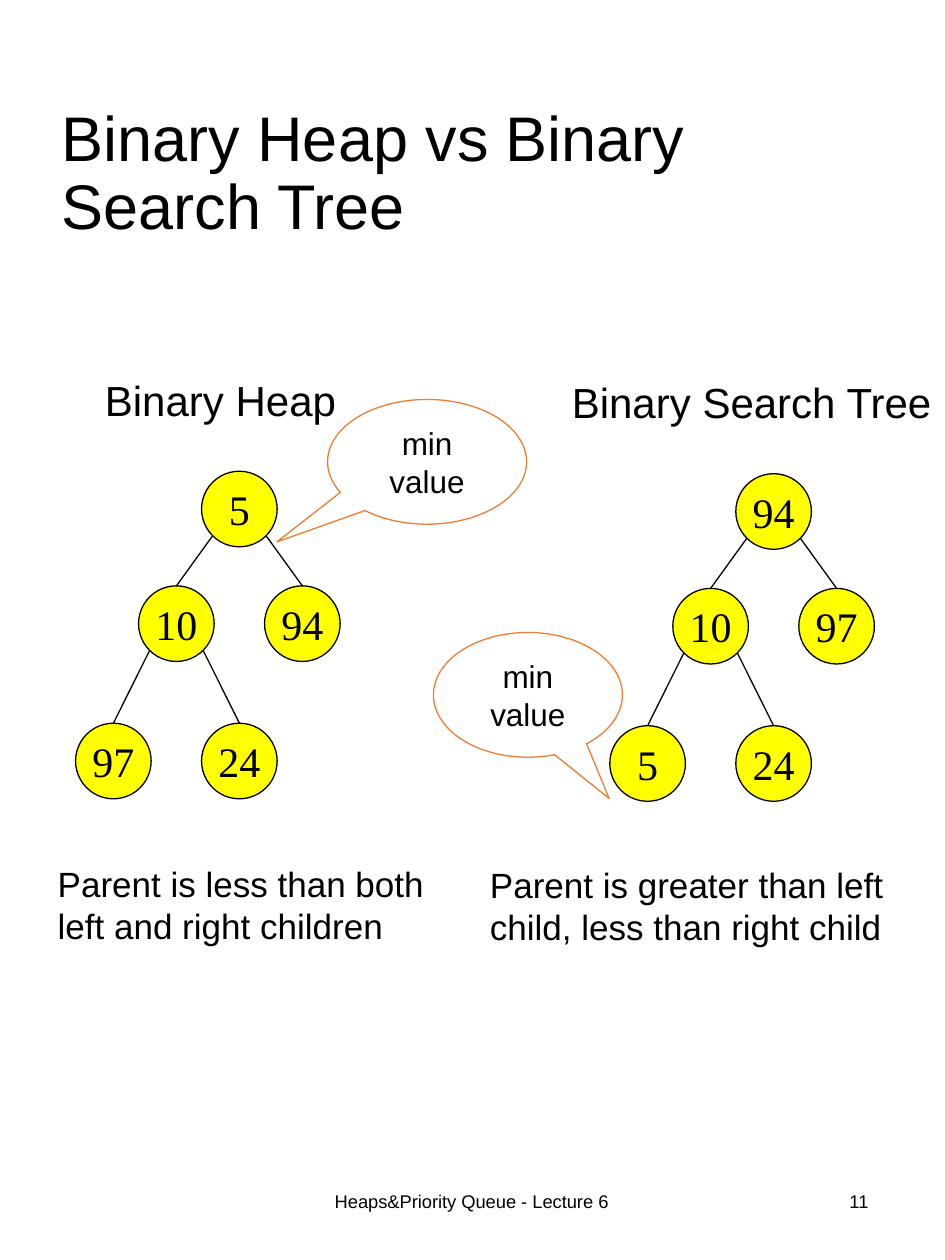
import math

import pptx
import pptx.dml.color
import pptx.enum.shapes
import pptx.enum.text
import pptx.util
from lxml import etree

Inches, Pt = pptx.util.Inches, pptx.util.Pt
RGBColor = pptx.dml.color.RGBColor
SHAPE = pptx.enum.shapes.MSO_SHAPE
ALIGN = pptx.enum.text.PP_ALIGN
LEFT, CENTER, RIGHT = ALIGN.LEFT, ALIGN.CENTER, ALIGN.RIGHT

BLACK = RGBColor(0x00, 0x00, 0x00)
WHITE = RGBColor(0xFF, 0xFF, 0xFF)
YELLOW = RGBColor(0xFF, 0xFF, 0x00)
ORANGE = RGBColor(0xED, 0x7D, 0x31)

# Content: lines, (left, top, width, height), size, alignment, wrap
TEXTS = [
    (["Heaps&Priority Queue - Lecture 6"], (2.48, 9.27, 2.53, 0.53), 10.5, CENTER, True),
    (["11"], (5.3, 9.27, 1.69, 0.53), 10.5, RIGHT, True),
    (["Binary Heap vs Binary Search Tree"], (0.39, 0.92, 6.75, 0.94), 36, LEFT, True),
    (["Binary Heap"], (0.73, 2.92, 2.04, 0.5), 24, CENTER, False),
    (["Binary Search Tree"], (4.43, 2.94, 3.07, 0.5), 24, CENTER, False),
    (["Parent is greater than left", "child, less than right child"],
     (3.79, 6.8, 3.42, 0.77), 20, LEFT, False),
    (["Parent is less than both", "left and right children"],
     (0.36, 6.79, 3.13, 0.77), 20, LEFT, False),
]

# Trees: root corner, values level by level
TREES = [
    ((5.84, 3.76), ["94", "10", "97", "5", "24"]),
    ((1.6, 3.74), ["5", "10", "94", "97", "24"]),
]
NODE = 0.6
NODE_OFFSETS = [(0, 0), (-0.5, 0.91), (0.5, 0.91), (-1, 2), (0, 2)]
EDGES = [(0, 1), (0, 2), (1, 3), (1, 4)]

# Callouts: (left, top, width, height), pointer position
CALLOUTS = [
    ((3.44, 5.02, 1.5, 0.99), (0.43, 0.83)),
    ((2.6, 3.17, 1.58, 0.99), (-0.755, 0.642)),
]

deck = pptx.Presentation()
deck.slide_width, deck.slide_height = Inches(7.5), Inches(10)
page = deck.slides.add_slide(deck.slide_layouts[6])


def write(shape, lines, size, align=CENTER, wrap=True, font="Arial"):
    frame = shape.text_frame
    frame.word_wrap = wrap
    frame.vertical_anchor = pptx.enum.text.MSO_ANCHOR.MIDDLE
    for index, line in enumerate(lines):
        para = frame.add_paragraph() if index else frame.paragraphs[0]
        para.alignment = align
        if size == 36:
            para.line_spacing = 0.9
        span = para.add_run()
        span.text = line
        span.font.size, span.font.name = Pt(size), font
        span.font.color.rgb = BLACK


def add_figure(kind, place, fill, line):
    shape = page.shapes.add_shape(kind, *map(Inches, place))
    shape.shadow.inherit = False
    shape.fill.solid()
    shape.fill.fore_color.rgb = fill
    shape.line.color.rgb = line
    shape.line.width = Pt(0.75)
    return shape


def add_edge(start, end):
    edge = page.shapes.add_connector(
        pptx.enum.shapes.MSO_CONNECTOR.STRAIGHT, *map(Inches, start + end))
    edge.line.color.rgb = BLACK
    edge.line.width = Pt(0.75)
    properties = edge.line._get_or_add_ln().getparent()
    etree.SubElement(properties, pptx.oxml.ns.qn("a:effectLst"))


# Title, headings, captions and footer
for lines, place, size, align, wrap in TEXTS:
    box = page.shapes.add_textbox(*map(Inches, place))
    write(box, lines, size, align, wrap)

# Trees: each edge runs from the parent's lower diagonal to the child's top
reach = NODE / 2 * math.sqrt(0.5)
for (left, top), values in TREES:
    corners = [(left + dx, top + dy) for dx, dy in NODE_OFFSETS]
    for corner, value in zip(corners, values):
        node = add_figure(SHAPE.OVAL, corner + (NODE, NODE), YELLOW, BLACK)
        write(node, [value], 24, wrap=False, font="Times New Roman")
    for parent, child in EDGES:
        (px, py), (cx, cy) = corners[parent], corners[child]
        side = math.copysign(reach, cx - px)
        add_edge((px + NODE / 2 + side, py + NODE / 2 + reach), (cx + NODE / 2, cy))

# Callouts marking the minimum
for place, pointer in CALLOUTS:
    callout = add_figure(SHAPE.OVAL_CALLOUT, place, WHITE, ORANGE)
    callout.adjustments[0], callout.adjustments[1] = pointer
    write(callout, ["min value"], 18)

deck.save("out.pptx")
